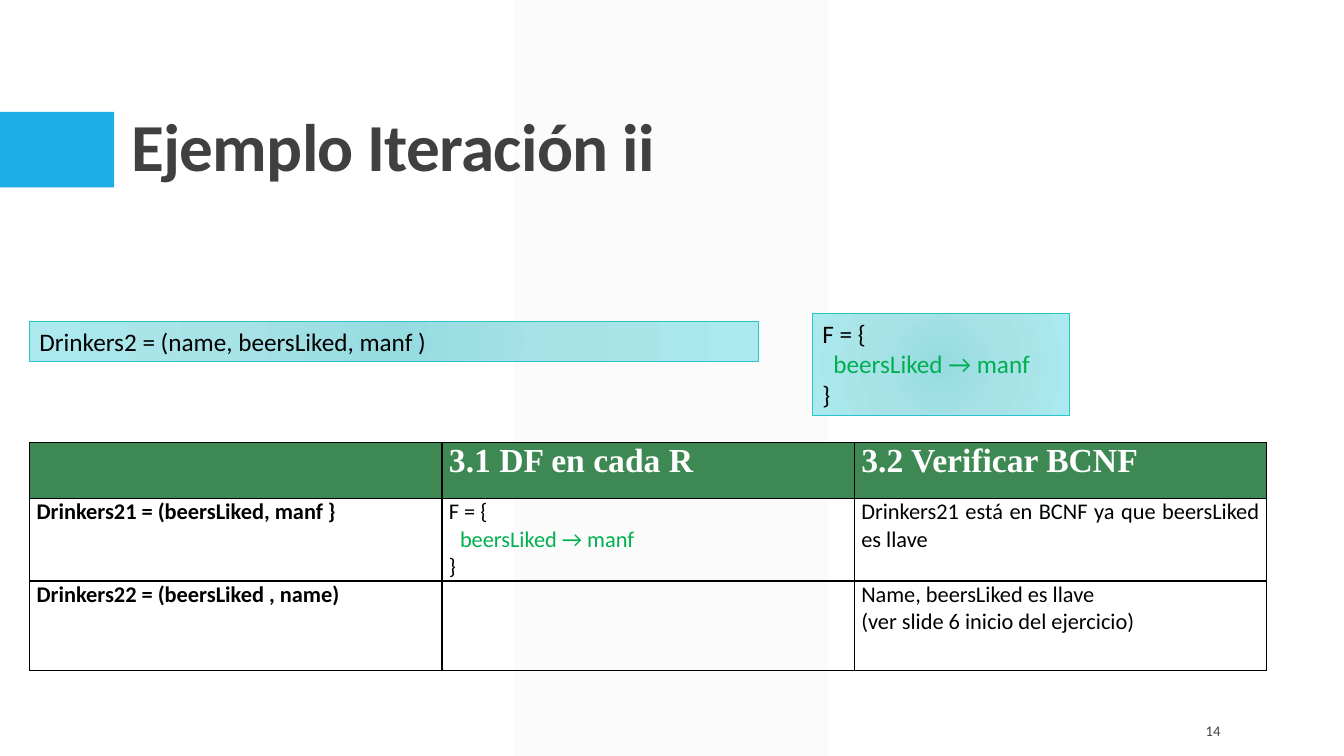
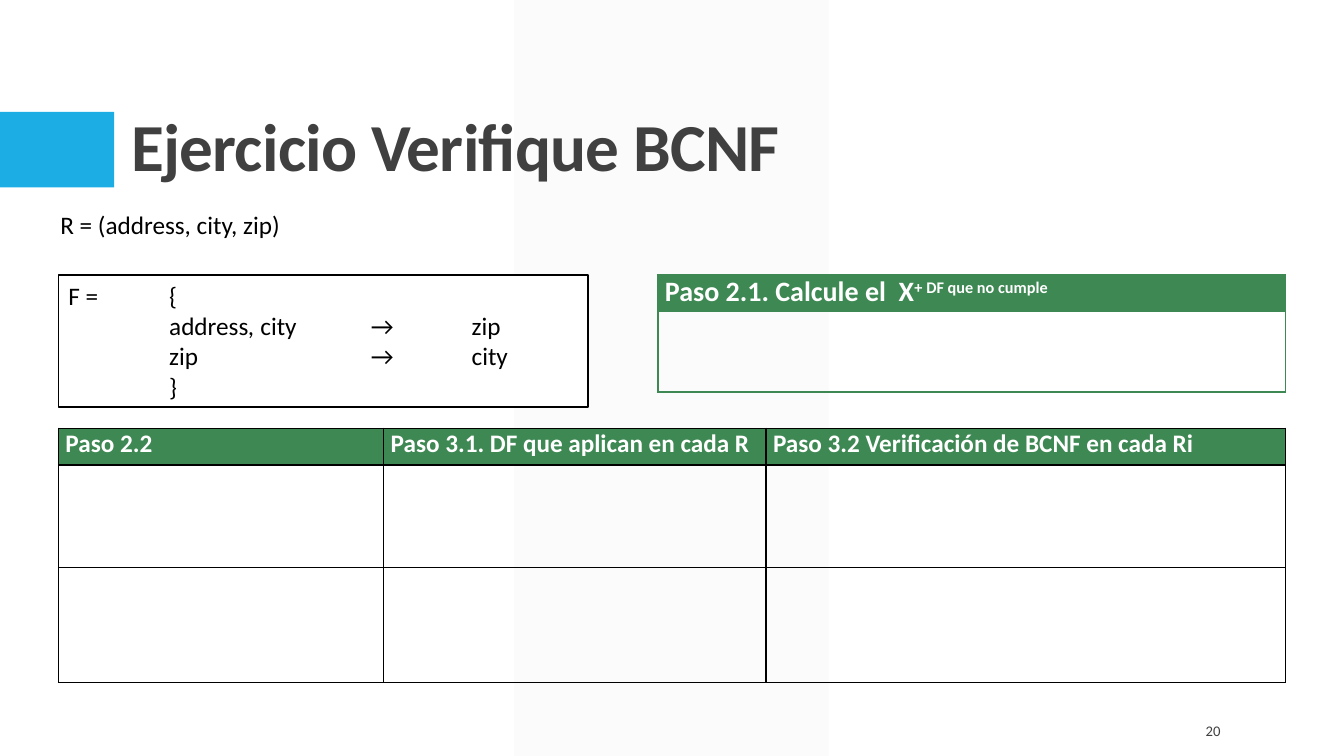
from lxml.etree import SubElement
from pptx import Presentation
from pptx.dml.color import RGBColor
from pptx.enum.shapes import MSO_SHAPE
from pptx.enum.text import MSO_ANCHOR, MSO_AUTO_SIZE, PP_ALIGN
from pptx.oxml import parse_xml
from pptx.oxml.ns import nsdecls, qn
from pptx.util import Inches, Pt

WIDTH, HEIGHT = Inches(13.33), Inches(7.5)
FONT = "Calibri"
BLACK, WHITE, DARK = "000000", "FFFFFF", "404040"
BLUE, GREEN, ARROW_GREEN = "1CADE4", "3E8853", "00B050"
TEAL = "28C4CC"
TEAL_STOPS = ((0, "95DBE0"), (45, "A7E2E7"), (100, "ACE9EE"))
PLAIN_TABLE = "{2D5ABB26-0587-4C30-8999-92F81FD0307C}"
JUSTIFY = PP_ALIGN.JUSTIFY


def rgb(color):
    return RGBColor.from_string(color)


def place(x, y, w, h):
    """Turn percentages of the slide's size into lengths."""
    return [int(share * size / 100)
            for share, size in zip((x, y, w, h), (WIDTH, HEIGHT) * 2)]


def format_run(r, size=18, font=FONT, color=BLACK, bold=False, italic=False,
               base=0, spacing=0):
    f = r.font
    f.size, f.name, f.bold, f.italic = Pt(size), font, bold, italic
    f.color.rgb = rgb(color)
    if base:
        f._element.set("baseline", str(base * 1000))
    if spacing:
        f._element.set("spc", str(int(spacing * 100)))


def write(tf, paragraphs, align=PP_ALIGN.LEFT, line=None, tabs=(), **fmt):
    """Fill a frame; a paragraph is a string or a list of runs.

    A run is a string or (string, format); "indent" moves its paragraph in.
    """
    for i, runs in enumerate(paragraphs):
        p = tf.add_paragraph() if i else tf.paragraphs[0]
        p.alignment = align
        if line:
            p.line_spacing = line
        pPr = p._p.get_or_add_pPr()
        if tabs:
            stops = SubElement(pPr, qn("a:tabLst"))
            for tab in tabs:
                SubElement(stops, qn("a:tab"), pos=str(Inches(tab)), algn="l")
        for run in [runs] if isinstance(runs, str) else runs:
            text, extra = (run, {}) if isinstance(run, str) else run
            look = {**fmt, **extra}
            indent = look.pop("indent", 0)
            if indent:
                pPr.set("marL", str(Inches(indent)))
                pPr.set("indent", "0")
            r = p.add_run()
            r.text = text
            format_run(r, **look)


def add_box(s, box, fill, line=None, weight=1, shape=MSO_SHAPE.RECTANGLE):
    sp = s.shapes.add_shape(shape, *place(*box))
    sp.shadow.inherit = False
    sp.fill.solid()
    sp.fill.fore_color.rgb = rgb(fill)
    if line:
        sp.line.color.rgb = rgb(line)
        sp.line.width = Pt(weight)
    else:
        sp.line.fill.background()
    return sp


def add_text_box(s, box, paragraphs, wrap=True, anchor=MSO_ANCHOR.TOP, **fmt):
    tf = s.shapes.add_textbox(*place(*box)).text_frame
    tf.word_wrap, tf.vertical_anchor = wrap, anchor
    write(tf, paragraphs, **fmt)


def add_text_panel(s, box, paragraphs, fill=WHITE, line=BLACK, weight=1, **fmt):
    sp = add_box(s, box, fill, line, weight)
    sp.text_frame.word_wrap = True
    sp.text_frame.vertical_anchor = MSO_ANCHOR.TOP
    write(sp.text_frame, paragraphs, **fmt)
    return sp


def add_teal_panel(s, box, paragraphs):
    """Panel with a round gradient."""
    sp = add_text_panel(s, box, paragraphs, line=TEAL, align=JUSTIFY)
    stops = "".join(f'<a:gs pos="{pos * 1000}"><a:srgbClr val="{color}"/></a:gs>'
                    for pos, color in TEAL_STOPS)
    gradient = parse_xml(
        f'<a:gradFill {nsdecls("a")} rotWithShape="1"><a:gsLst>{stops}</a:gsLst>'
        '<a:path path="circle"><a:fillToRect l="50000" t="50000" r="50000" '
        'b="50000"/></a:path></a:gradFill>')
    spPr = sp._element.spPr
    spPr.replace(spPr.find(qn("a:solidFill")), gradient)


def outline_cell(cell, color):
    tcPr = cell._tc.get_or_add_tcPr()
    for i, side in enumerate("LRTB"):
        tcPr.insert(i, parse_xml(
            f'<a:ln{side} {nsdecls("a")} w="{Pt(1)}"><a:solidFill>'
            f'<a:srgbClr val="{color}"/></a:solidFill></a:ln{side}>'))


def add_grid(s, box, cols, rows, cells, header, border=BLACK):
    """Table with a green header; cols and rows are relative sizes.

    Each cell is a list of paragraphs, and an empty list leaves it blank.
    """
    x, y, w, h = place(*box)
    table = s.shapes.add_table(len(rows), len(cols), x, y, w, h).table
    table.first_row = table.horz_banding = False
    table._tbl.tblPr.find(qn("a:tableStyleId")).text = PLAIN_TABLE
    for col, share in zip(table.columns, cols):
        col.width = int(w * share / sum(cols))
    for row, share in zip(table.rows, rows):
        row.height = int(h * share / sum(rows))
    for i, row in enumerate(cells):
        for j, paragraphs in enumerate(row):
            cell = table.cell(i, j)
            cell.margin_left = cell.margin_right = Inches(0.07)
            cell.margin_top = cell.margin_bottom = 0
            if i:
                cell.fill.background()
            else:
                cell.fill.solid()
                cell.fill.fore_color.rgb = rgb(GREEN)
            outline_cell(cell, border)
            look = {"size": 16} if i else {"color": WHITE, "bold": True, **header}
            write(cell.text_frame, paragraphs, align=JUSTIFY, **look)


def decorate_layout(s):
    """Draw the pale band and blue bar, then move them to the layout."""
    band = add_box(s, (38.25, 0, 23.4, 100), "F2F2F2",
                   shape=MSO_SHAPE.PARALLELOGRAM)
    band.adjustments[0] = 0
    color = band._element.spPr.find(qn("a:solidFill"))[0]
    SubElement(color, qn("a:alpha"), val="30000")
    bar = add_box(s, (0, 14.8, 8.5, 10), BLUE)
    for sp in (band, bar):
        s.slide_layout.shapes.element.append(sp._element)


def add_titled_slide(prs, title, number):
    s = prs.slides.add_slide(prs.slide_layouts[5])
    sp = s.shapes.title
    sp.left, sp.top, sp.width, sp.height = place(9, 4.13, 82.5, 21.2)
    tf = sp.text_frame
    tf.auto_size, tf.vertical_anchor = MSO_AUTO_SIZE.NONE, MSO_ANCHOR.BOTTOM
    write(tf, [title], line=0.9, size=48, color=DARK, bold=True, spacing=-0.5)
    add_text_box(s, (85.15, 94, 6.4, 5.33), [number], anchor=MSO_ANCHOR.MIDDLE,
                 align=PP_ALIGN.RIGHT, size=10.5, color=DARK)
    return s


def iteration_slide(prs):
    s = add_titled_slide(prs, "Ejemplo Iteración ii", "14")
    dependencies = ["F = {",
                    [("beersLiked → manf", {"color": ARROW_GREEN, "indent": 0.11})],
                    "}"]
    bold = {"bold": True}
    cells = [
        [[], ["3.1 DF en cada R"], ["3.2 Verificar BCNF"]],
        [[[("Drinkers21 = (beersLiked, manf }", bold)]],
         dependencies,
         ["Drinkers21 está en BCNF ya que beersLiked es llave"]],
        [[[("Drinkers22 = (beersLiked , name)", bold)]],
         [],
         ["Name, beersLiked es llave", "(ver slide 6 inicio del ejercicio)"]],
    ]
    add_grid(s, (2.2, 58.55, 92.05, 30.2), (1, 1, 1), (7.4, 10.9, 11.9), cells,
             {"size": 24, "font": "Times New Roman"})
    add_teal_panel(s, (60.45, 41.47, 19.13, 13.47), dependencies)
    add_teal_panel(s, (2.2, 42.53, 54.25, 5.33),
                   ["Drinkers2 = (name, beersLiked, manf )"])
    return s


def exercise_slide(prs):
    s = add_titled_slide(prs, "Ejercicio Verifique BCNF", "20")
    steps = [["Paso 2.2"], ["Paso 3.1. DF que aplican en cada R"],
             ["Paso 3.2 Verificación de BCNF en cada Ri"]]
    add_grid(s, (4.35, 56.65, 91.3, 33.65), (24.2, 28.45, 38.65),
             (4.85, 13.6, 15.2), [steps, [[]] * 3, [[]] * 3], {"size": 18})
    closure = ["Paso 2.1. Calcule el  X", ("+ DF que no cumple", {"base": 30})]
    add_grid(s, (48.95, 36.35, 46.7, 15.5), (1,), (4.9, 10.6),
             [[[closure]], [[]]], {"size": 20}, border=GREEN)
    add_text_panel(s, (4.35, 36.4, 39.4, 17.47), [
        "F =\t{",
        ["\taddress", (",", {"italic": True}), " city\t→\tzip"],
        "\tzip\t→\tcity",
        "\t}",
    ], weight=1.25, tabs=(1, 3, 4))
    add_text_box(s, (3.75, 27.07, 18.1, 5.33), ["R = (address, city, zip)"],
                 wrap=False)


def main():
    prs = Presentation()
    prs.slide_width, prs.slide_height = WIDTH, HEIGHT
    decorate_layout(iteration_slide(prs))
    exercise_slide(prs)
    prs.save("out.pptx")


if __name__ == "__main__":
    main()
